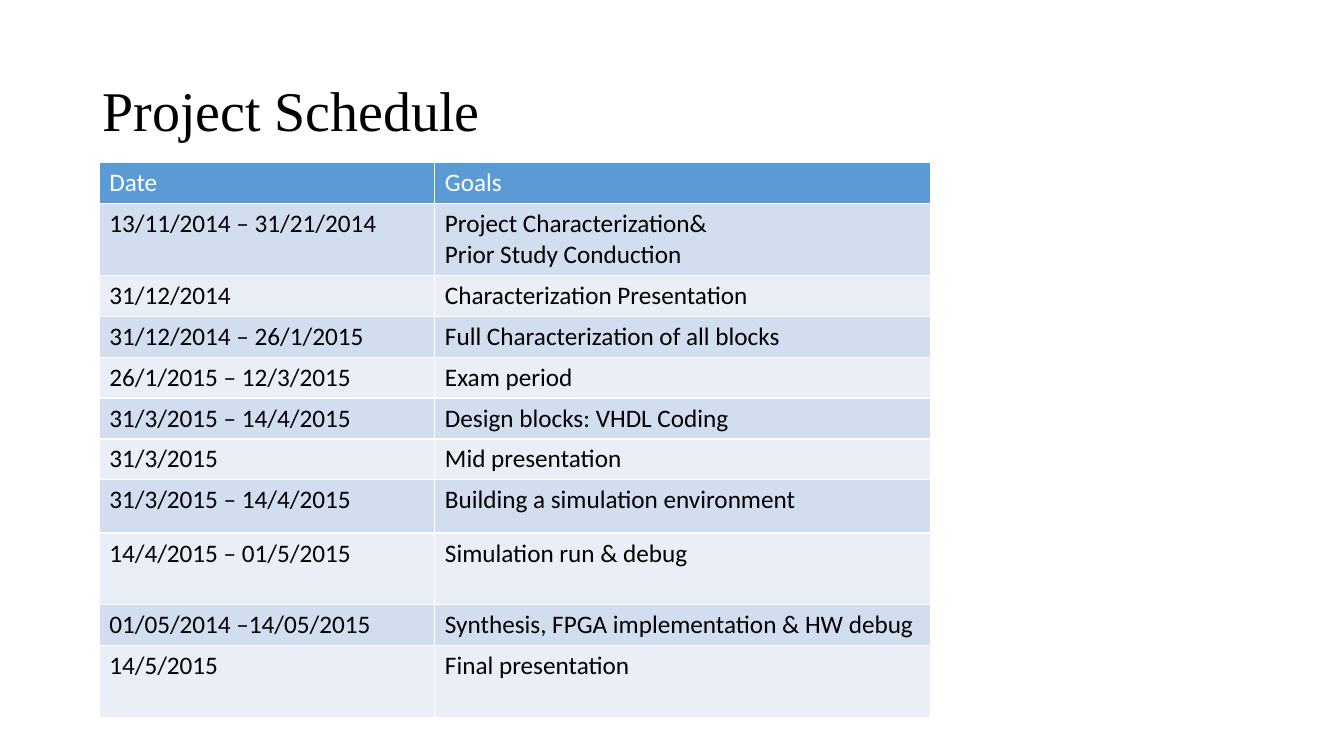
from pptx import Presentation
from pptx.dml.color import RGBColor
from pptx.enum.text import MSO_ANCHOR
from pptx.util import Cm, Pt

TITLE = "Project Schedule"
HEADER = ("Date", "Goals")
SINGLE, MEDIUM, DOUBLE = 1.03, 1.34, 1.81  # row heights in cm
SCHEDULE = [
    ("13/11/2014 – 31/21/2014", "Project Characterization&\nPrior Study Conduction", DOUBLE),
    ("31/12/2014", "Characterization Presentation", SINGLE),
    ("31/12/2014 – 26/1/2015", "Full Characterization of all blocks", SINGLE),
    ("26/1/2015 – 12/3/2015", "Exam period", SINGLE),
    ("31/3/2015 – 14/4/2015", "Design blocks: VHDL Coding", SINGLE),
    ("31/3/2015", "Mid presentation", SINGLE),
    ("31/3/2015 – 14/4/2015", "Building a simulation environment", MEDIUM),
    ("14/4/2015 – 01/5/2015", "Simulation run & debug", DOUBLE),
    ("01/05/2014 –14/05/2015", "Synthesis, FPGA implementation & HW debug", SINGLE),
    ("14/5/2015", "Final presentation", DOUBLE),
]
COLUMN_WIDTHS = (8.46, 12.5)
BLACK, WHITE, HEADER_BLUE = "000000", "FFFFFF", "5B9BD5"
BANDS = ("D2DEEF", "EAEFF7")


def color(hex_text):
    return RGBColor.from_string(hex_text)


def style_font(para, name, size, hex_text):
    para.font.name = name
    para.font.size = Pt(size)
    para.font.bold = False
    para.font.color.rgb = color(hex_text)


def add_title(page):
    box = page.shapes.add_textbox(Cm(2.33), Cm(1.01), Cm(29.21), Cm(3.68))
    frame = box.text_frame
    frame.word_wrap = True
    frame.vertical_anchor = MSO_ANCHOR.MIDDLE
    para = frame.paragraphs[0]
    para.text = TITLE
    para.line_spacing = 0.9
    style_font(para, "Times New Roman", 40, BLACK)


def fill_row(table, index, texts, height, fill, ink):
    table.rows[index].height = Cm(height)
    for column, text in enumerate(texts):
        cell = table.cell(index, column)
        cell.fill.solid()
        cell.fill.fore_color.rgb = color(fill)
        cell.text = text
        for para in cell.text_frame.paragraphs:
            style_font(para, "Calibri", 18, ink)


def add_schedule(page):
    heights = [SINGLE] + [height for *_, height in SCHEDULE]
    table = page.shapes.add_table(
        len(heights), len(HEADER), Cm(2.5), Cm(4.1),
        Cm(sum(COLUMN_WIDTHS)), Cm(sum(heights))).table
    for column, width in zip(table.columns, COLUMN_WIDTHS):
        column.width = Cm(width)
    fill_row(table, 0, HEADER, SINGLE, HEADER_BLUE, WHITE)
    for index, (date, goal, height) in enumerate(SCHEDULE):
        fill_row(table, index + 1, (date, goal), height, BANDS[index % 2], BLACK)


def main():
    deck = Presentation()
    deck.slide_width, deck.slide_height = Cm(33.87), Cm(19.05)
    page = deck.slides.add_slide(deck.slide_layouts[6])
    add_title(page)
    add_schedule(page)
    deck.save("out.pptx")


if __name__ == "__main__":
    main()
